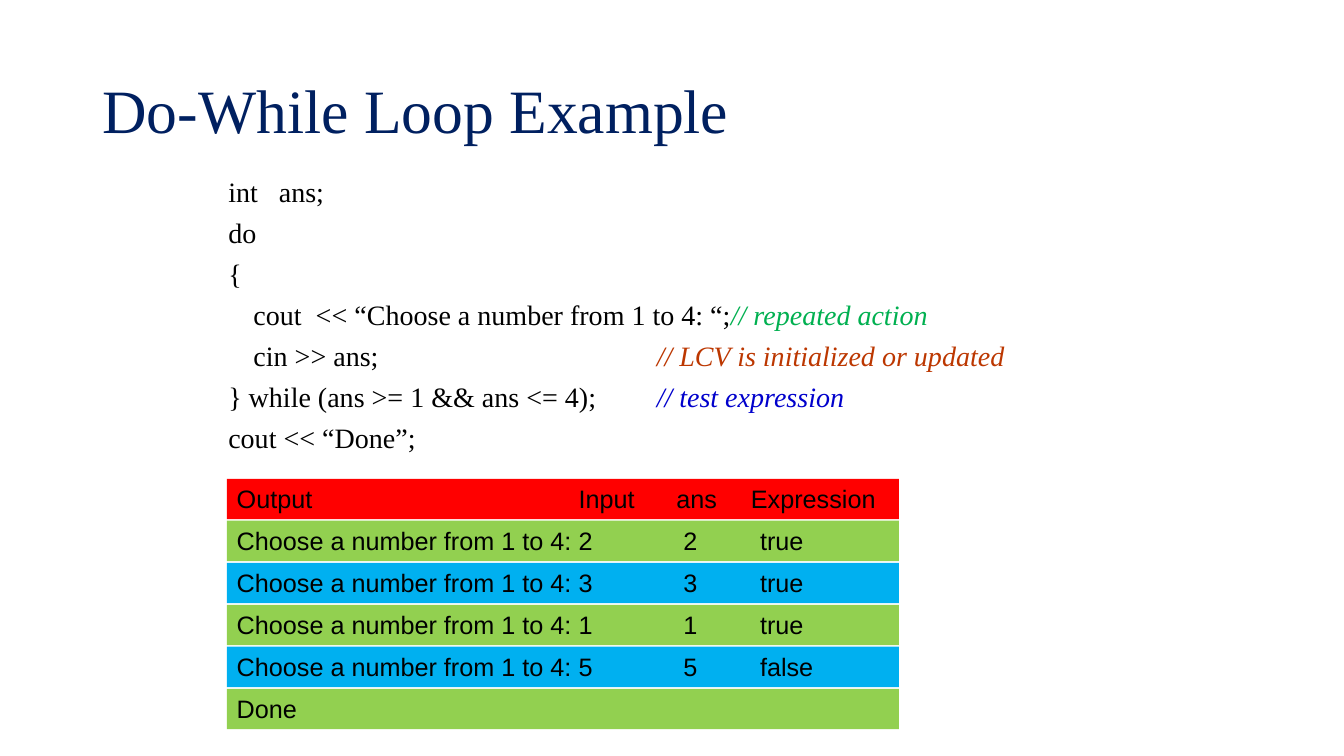
from lxml import etree
from pptx import Presentation
from pptx.dml.color import RGBColor
from pptx.enum.shapes import MSO_SHAPE
from pptx.enum.text import MSO_ANCHOR, PP_ALIGN
from pptx.oxml.ns import qn
from pptx.util import Inches, Pt

RECT = MSO_SHAPE.RECTANGLE
TOP, MIDDLE = MSO_ANCHOR.TOP, MSO_ANCHOR.MIDDLE
LEFT = PP_ALIGN.LEFT

BLACK = RGBColor(0x00, 0x00, 0x00)
NAVY = RGBColor(0x00, 0x20, 0x60)
RED = RGBColor(0xFF, 0x00, 0x00)
LIME = RGBColor(0x92, 0xD0, 0x50)
SKY = RGBColor(0x00, 0xB0, 0xF0)
GREEN = RGBColor(0x00, 0xB0, 0x50)
RUST = RGBColor(0xBC, 0x37, 0x00)
BLUE = RGBColor(0x00, 0x00, 0xCC)

SERIF, SANS = "Times New Roman", "Arial"
COLS, ROWS = 16, 18

# Each line of code, its comment and the comment's colour
CODE = [
    ("int   ans;", "", BLACK),
    ("do", "", BLACK),
    ("{", "", BLACK),
    ("\tcout  << “Choose a number from 1 to 4: “;", "// repeated action", GREEN),
    ("\tcin >> ans;\t", "// LCV is initialized or updated", RUST),
    ("} while (ans >= 1 && ans <= 4);\t", "// test expression", BLUE),
    ("cout << “Done”;", "", BLACK),
]
CODE_TABS = (0.25, 4.25)

PROMPT = "Choose a number from 1 to 4:"
HEAD = ("Output", "Input", "ans", "Expression")
TRACE = [(PROMPT, n, n, "true" if n <= 4 else "false") for n in (2, 3, 1, 5)]
HEAD_TABS = (3.39, 4.36, 5.1)
ROW_TABS = (3.39, 4.43, 5.19)


def write(frame, lines, font=SERIF, size=20, color=BLACK, anchor=TOP,
          tabs=(), space=None, gap=0):
    """Fill a frame; each line is a (text, note, note colour) tuple."""
    frame.word_wrap = True
    frame.vertical_anchor = anchor
    for i, (text, note, tint) in enumerate(lines):
        para = frame.add_paragraph() if i else frame.paragraphs[0]
        if tabs:
            stops = etree.SubElement(para._p.get_or_add_pPr(), qn("a:tabLst"))
            for stop in tabs:
                etree.SubElement(stops, qn("a:tab"), pos=str(Inches(stop)), algn="l")
        para.alignment = LEFT
        if space:
            para.line_spacing = space
        if i and gap:
            para.space_before = Pt(gap)
        for part, hue, slant in ((text, color, False), (note, tint, True)):
            if part:
                run = para.add_run()
                run.text = part
                run.font.name, run.font.size = font, Pt(size)
                run.font.color.rgb, run.font.italic = hue, slant


class Deck:
    def __init__(self):
        self.show = Presentation()
        self.show.slide_width = Inches(13.33)
        self.show.slide_height = Inches(7.5)
        self.slide = self.show.slides.add_slide(self.show.slide_layouts[5])

    def grid(self, col, row, wide, high):
        """Turn columns and rows into lengths."""
        x, y = self.show.slide_width / COLS, self.show.slide_height / ROWS
        return int(col * x), int(row * y), int(wide * x), int(high * y)

    def title(self, text, *cell):
        head = self.slide.shapes.title
        head.left, head.top, head.width, head.height = self.grid(*cell)
        write(head.text_frame, [(text, "", NAVY)], size=44, color=NAVY,
              anchor=MIDDLE, space=0.9)

    def code(self, lines, *cell):
        box = self.slide.shapes.add_textbox(*self.grid(*cell))
        write(box.text_frame, lines, tabs=CODE_TABS, space=0.8, gap=10)

    def bar(self, cells, fill, tabs, *cell):
        box = self.slide.shapes.add_shape(RECT, *self.grid(*cell))
        box.shadow.inherit = False
        box.fill.solid()
        box.fill.fore_color.rgb = fill
        box.line.fill.background()
        text = "\t".join(str(item) for item in cells)
        write(box.text_frame, [(text, "", BLACK)], font=SANS, size=18, tabs=tabs)


def main():
    deck = Deck()
    deck.title("Do-While Loop Example", 1.1, 0.96, 13.8, 3.48)
    deck.code(CODE, 2.6, 4.2, 10.8, 7.2)
    deck.bar(HEAD, RED, HEAD_TABS, 2.7, 11.4, 8, 0.96)
    for i, cells in enumerate(TRACE + [("Done",)], 1):
        deck.bar(cells, LIME if i % 2 else SKY, ROW_TABS, 2.7, 11.4 + i, 8, 0.96)
    deck.show.save("out.pptx")


if __name__ == "__main__":
    main()
